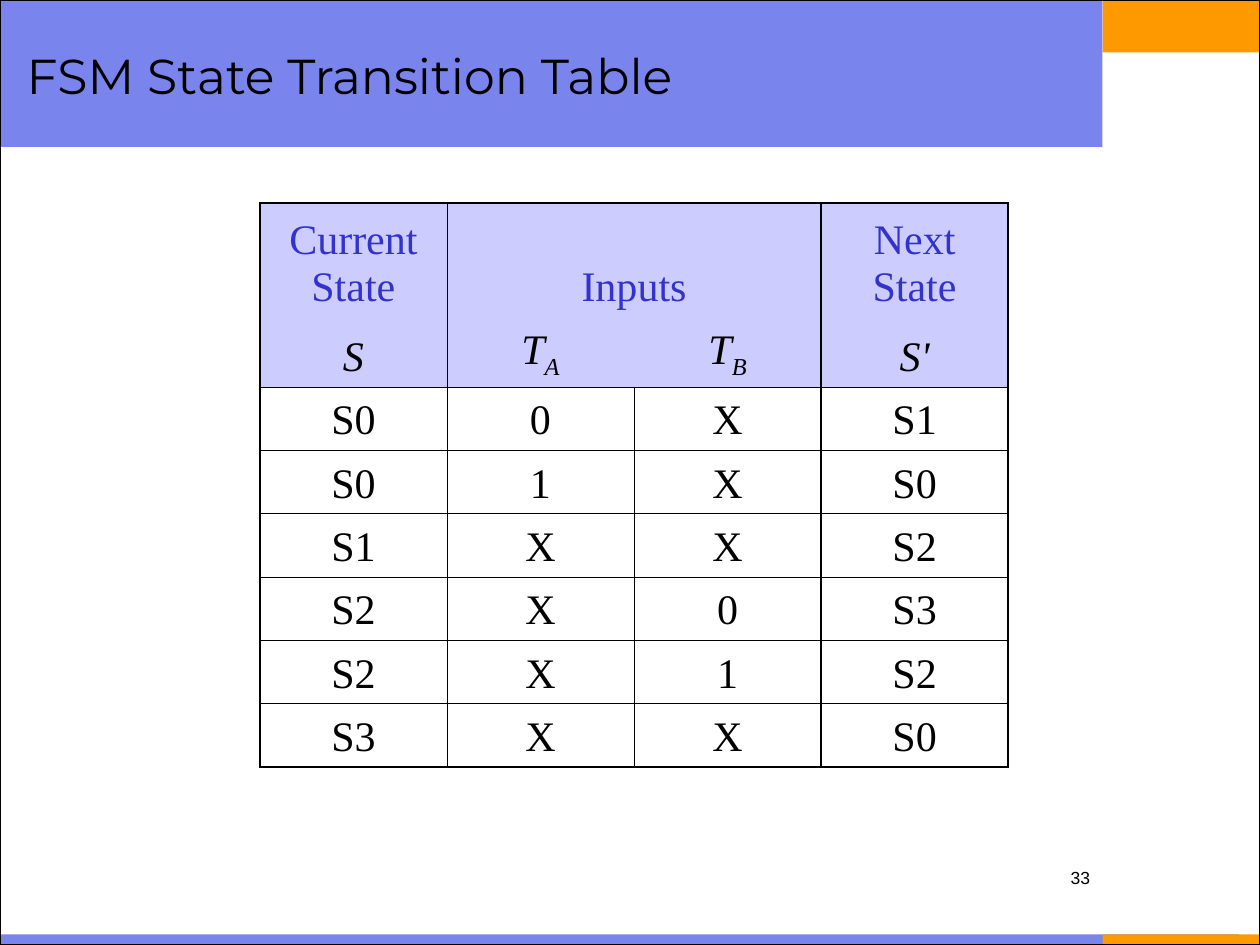
from pptx import Presentation
from pptx.dml.color import RGBColor
from pptx.enum.shapes import MSO_SHAPE
from pptx.enum.text import MSO_ANCHOR, MSO_AUTO_SIZE, PP_ALIGN
from pptx.oxml.ns import qn
from pptx.util import Pt
from lxml import etree

RECTANGLE = MSO_SHAPE.RECTANGLE
TOP, MIDDLE, BOTTOM = MSO_ANCHOR.TOP, MSO_ANCHOR.MIDDLE, MSO_ANCHOR.BOTTOM
LEFT, CENTER, RIGHT = PP_ALIGN.LEFT, PP_ALIGN.CENTER, PP_ALIGN.RIGHT
NO_AUTOFIT = MSO_AUTO_SIZE.NONE

BLUE, ORANGE, BLACK = "7984ED", "FF9900", "000000"
HEADER_FILL, HEADER_TEXT = "CCCCFF", "3333CC"
WIDTH, HEIGHT, BAND_WIDTH = 720, 540, 630

HEADINGS = ["Current State", "Inputs", "", "Next State"]
SYMBOLS = [("S", ""), ("T", "A"), ("T", "B"), ("S'", "")]
TRANSITIONS = ["S0 0 X S1", "S0 1 X S0", "S1 X X S2",
               "S2 X 0 S3", "S2 X 1 S2", "S3 X X S0"]
ROW_HEIGHTS = [64.8, 40.3] + [36.2] * len(TRANSITIONS)
COLUMN_WIDTH = 106.9
COLUMN_RULES = [1.08, 0.45, 0.45, 1.47, 1.08]
ROW_RULES = [1.08, 0] + [0.45] * len(TRANSITIONS) + [1.08]


def color(value):
    return RGBColor.from_string(value)


def apply(target, formats):
    for name, value in formats.items():
        setattr(target, name, value)


class SlideBuilder:
    title_font = {"name": "Montserrat", "size": Pt(28)}
    cell_font = {"name": "Times New Roman", "size": Pt(24)}
    number_font = {"name": "Arial", "size": Pt(10)}

    def __init__(self, slide):
        self.slide = slide

    def add_text(self, frame, text, font, ink=BLACK, align=LEFT, italic=False, subscript=""):
        paragraph = frame.paragraphs[0]
        paragraph.alignment = align
        for part, baseline in ((text, 0), (subscript, -25000)):
            if part:
                run = paragraph.add_run()
                run.text = part
                apply(run.font, {**font, "italic": italic})
                run.font.color.rgb = color(ink)
                if baseline:
                    run.font._element.set("baseline", str(baseline))

    def rectangle(self, box, fill=None, line=None):
        rectangle = self.slide.shapes.add_shape(RECTANGLE, *map(Pt, box))
        rectangle.shadow.inherit = False
        if fill:
            rectangle.fill.solid()
            rectangle.fill.fore_color.rgb = color(fill)
        else:
            rectangle.fill.background()
        if line:
            rectangle.line.color.rgb = color(line)
            rectangle.line.width = Pt(0.75)
        else:
            rectangle.line.fill.background()

    def title(self, text, box):
        title = self.slide.shapes.title
        title.element.getparent().append(title.element)
        apply(title, dict(zip(("left", "top", "width", "height"), map(Pt, box))))
        apply(title.text_frame, {"word_wrap": True, "auto_size": NO_AUTOFIT,
                                 "vertical_anchor": MIDDLE})
        self.add_text(title.text_frame, text, self.title_font)

    def page_number(self, text, box):
        number = self.slide.shapes.add_textbox(*map(Pt, box))
        apply(number.text_frame, {"word_wrap": True, "vertical_anchor": TOP})
        self.add_text(number.text_frame, text, self.number_font, align=RIGHT)

    def borders(self, cell, widths):
        properties = cell._tc.get_or_add_tcPr()
        for side, width in zip("LRTB", widths):
            line = etree.SubElement(properties, qn(f"a:ln{side}"), w=str(Pt(width)))
            if width:
                fill = etree.SubElement(line, qn("a:solidFill"))
                etree.SubElement(fill, qn("a:srgbClr"), val=BLACK)
            else:
                etree.SubElement(line, qn("a:noFill"))

    def cell(self, cell, text, header=False, **style):
        cell.vertical_anchor = BOTTOM
        if header:
            cell.fill.solid()
            cell.fill.fore_color.rgb = color(HEADER_FILL)
        else:
            cell.fill.background()
        self.add_text(cell.text_frame, text, self.cell_font, align=CENTER, **style)

    def transition_table(self, left, top):
        columns = len(HEADINGS)
        table = self.slide.shapes.add_table(
            len(ROW_HEIGHTS), columns, Pt(left), Pt(top),
            Pt(COLUMN_WIDTH * columns), Pt(sum(ROW_HEIGHTS))).table
        apply(table, {"first_row": False, "horz_banding": False})
        for column in table.columns:
            column.width = Pt(COLUMN_WIDTH)
        for r, height in enumerate(ROW_HEIGHTS):
            table.rows[r].height = Pt(height)
            for c in range(columns):
                rules = COLUMN_RULES[:]
                if r < 2:
                    rules[2] = 0
                self.borders(table.cell(r, c), rules[c:c + 2] + ROW_RULES[r:r + 2])
        table.cell(0, 1).merge(table.cell(0, 2))
        for c, heading in enumerate(HEADINGS):
            self.cell(table.cell(0, c), heading, header=True, ink=HEADER_TEXT)
        for c, (symbol, subscript) in enumerate(SYMBOLS):
            self.cell(table.cell(1, c), symbol, header=True, italic=True, subscript=subscript)
        for r, transition in enumerate(TRANSITIONS, 2):
            for c, value in enumerate(transition.split()):
                self.cell(table.cell(r, c), value)


def main():
    deck = Presentation()
    apply(deck, {"slide_width": Pt(WIDTH), "slide_height": Pt(HEIGHT)})
    builder = SlideBuilder(deck.slides.add_slide(deck.slide_layouts[5]))
    side_width = WIDTH - BAND_WIDTH
    builder.rectangle((BAND_WIDTH, 0, side_width, 30), ORANGE)
    builder.rectangle((0, 534, 708, 6), BLUE)
    builder.rectangle((BAND_WIDTH, 534, side_width, 6), ORANGE)
    builder.rectangle((0, 0, BAND_WIDTH, 84), BLUE)
    builder.rectangle((0, 0, WIDTH, HEIGHT), line=BLACK)
    builder.title("FSM State Transition Table", (8, 8, 612, 70))
    builder.transition_table(148.5, 116)
    builder.page_number("33", (480, 492, 150, 36))
    deck.save("out.pptx")


if __name__ == "__main__":
    main()
